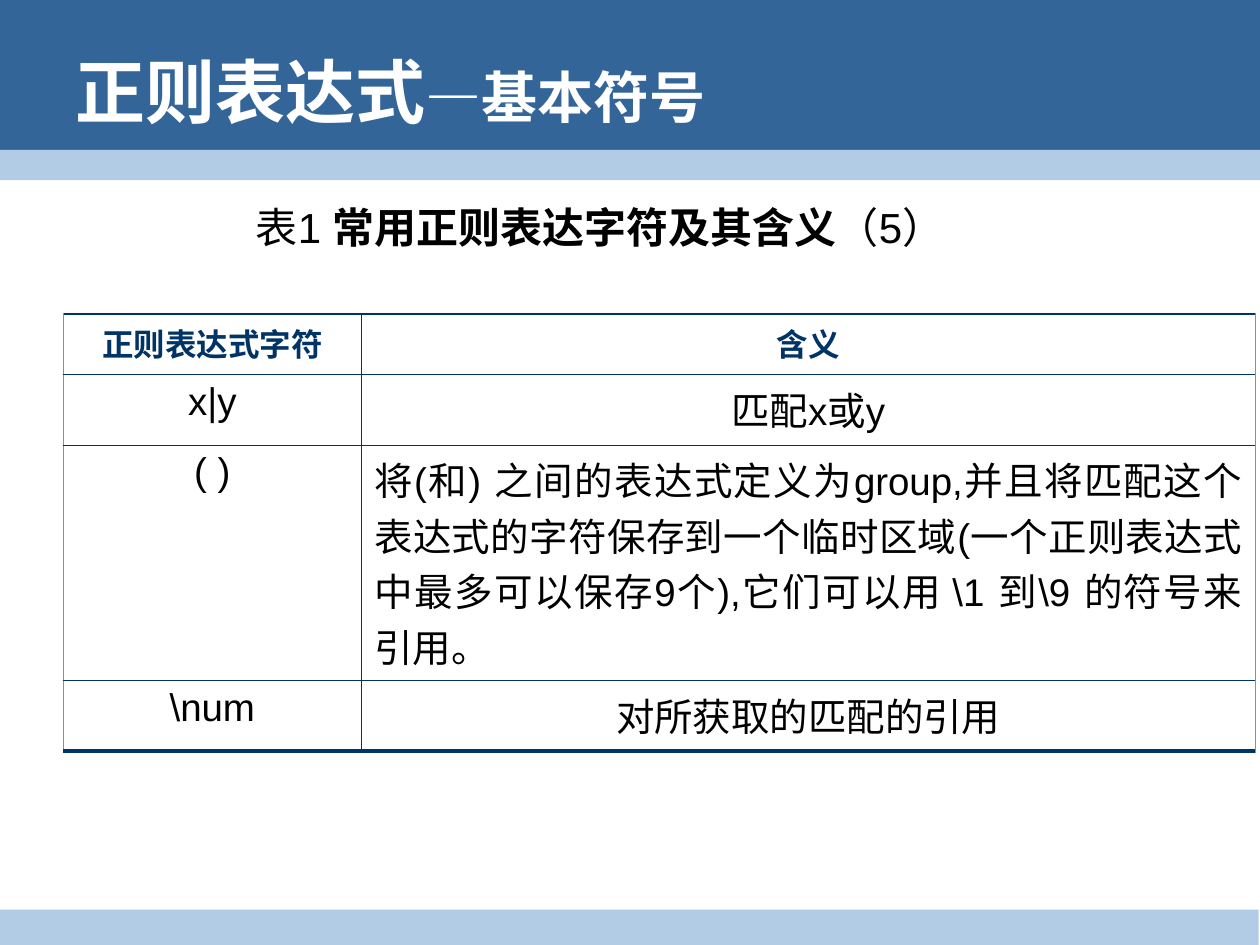
"""Build a slide with a table of basic regular expression symbols."""
from dataclasses import dataclass

from lxml.etree import SubElement
from pptx import Presentation
from pptx.dml.color import RGBColor
from pptx.enum.shapes import MSO_SHAPE as Shape
from pptx.enum.text import MSO_ANCHOR as Anchor, PP_ALIGN as Align
from pptx.oxml.ns import qn
from pptx.util import Inches, Pt


@dataclass(frozen=True)
class Theme:
    font: str = "Arial"
    band: str = "336599"
    stripe: str = "B3CCE6"
    navy: str = "003366"
    edge: str = "6698CC"
    white: str = "FFFFFF"
    black: str = "000000"
    title: int = 40
    subtitle: int = 32
    caption: int = 24
    header: int = 18
    body: int = 22


theme = Theme()


def add_run(paragraph, text, size, color, bold=False):
    run = paragraph.add_run()
    run.text = text
    run.font.name = theme.font
    run.font.size = Pt(size)
    run.font.bold = bold
    run.font.color.rgb = RGBColor.from_string(color)


def add_border(cell, side, color, width):
    line = SubElement(cell._tc.get_or_add_tcPr(), qn(f"a:{side}"), w=str(Pt(width)))
    fill = SubElement(line, qn("a:solidFill"))
    SubElement(fill, qn("a:srgbClr"), val=color)


presentation = Presentation()
presentation.slide_width = Inches(10)
presentation.slide_height = Inches(7.5)
slide = presentation.slides.add_slide(presentation.slide_layouts[6])

bands = [
    (0, 10, 1.31, theme.band),
    (1.19, 10, 0.24, theme.stripe),
    (7.22, 9.99, 0.3, theme.stripe),
]
for top, width, height, color in bands:
    band = slide.shapes.add_shape(
        Shape.RECTANGLE, 0, Inches(top), Inches(width), Inches(height))
    band.shadow.inherit = False
    band.fill.solid()
    band.fill.fore_color.rgb = RGBColor.from_string(color)
    band.line.fill.background()

column_widths = [2.37, 7.09]
row_heights = [0.48, 0.56, 1.87, 0.56]
rows = [
    ("正则表达式字符", "含义"),
    ("x|y", "匹配x或y"),
    ("( )", "将(和) 之间的表达式定义为group,并且将匹配这个表达式的字符保存到一个临时区域"
            "(一个正则表达式中最多可以保存9个),它们可以用 \\1 到\\9 的符号来引用。"),
    ("\\num", "对所获取的匹配的引用"),
]
table = slide.shapes.add_table(
    len(rows), len(column_widths), Inches(0.5), Inches(2.49),
    Inches(sum(column_widths)), Inches(sum(row_heights))).table
table.first_row = table.horz_banding = False
for column, width in zip(table.columns, column_widths):
    column.width = Inches(width)
for row, height in zip(table.rows, row_heights):
    row.height = Inches(height)

last_row, last_column = len(rows) - 1, len(column_widths) - 1
for row_index, texts in enumerate(rows):
    is_header = row_index == 0
    for column_index, text in enumerate(texts):
        cell = table.cell(row_index, column_index)
        add_border(cell, "lnL", theme.navy if column_index else theme.edge, 0.45)
        add_border(cell, "lnR", theme.edge if column_index == last_column else theme.navy, 0.45)
        add_border(cell, "lnT", theme.navy, 1.08 if is_header else 0.34)
        add_border(cell, "lnB", theme.navy, 2.21 if row_index == last_row else 0.34)
        cell.fill.background()
        paragraph = cell.text_frame.paragraphs[0]
        paragraph.alignment = Align.JUSTIFY if len(text) > 40 else Align.CENTER
        if is_header:
            add_run(paragraph, text, theme.header, theme.navy, True)
        else:
            add_run(paragraph, text, theme.body, theme.black)

text_boxes = [
    ((1.69, 1.55, 6.22, 0.5), Anchor.TOP, Align.CENTER, theme.black, [
        ("表1 ", theme.caption, False),
        ("常用正则表达字符及其含义", theme.caption, True),
        ("（5） ", theme.caption, False)]),
    ((0.5, 0.17, 9, 1.1), Anchor.MIDDLE, Align.LEFT, theme.white, [
        ("正则表达式", theme.title, True),
        ("—基本符号", theme.subtitle, True)]),
]
for place, anchor, alignment, color, runs in text_boxes:
    frame = slide.shapes.add_textbox(*map(Inches, place)).text_frame
    frame.word_wrap = True
    frame.vertical_anchor = anchor
    paragraph = frame.paragraphs[0]
    paragraph.alignment = alignment
    for text, size, bold in runs:
        add_run(paragraph, text, size, color, bold)

presentation.save("out.pptx")
